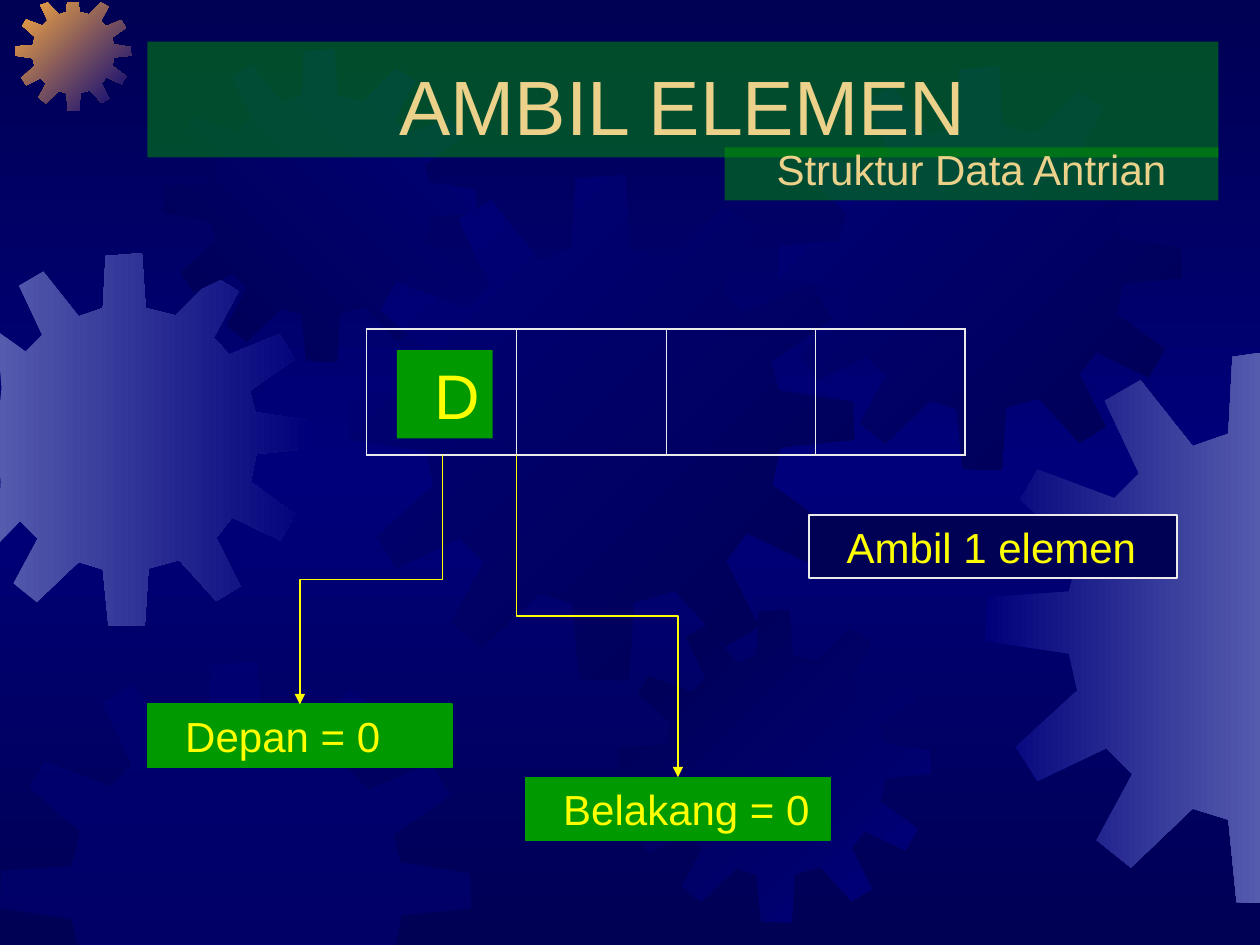
import copy

import lxml.etree
import pptx
import pptx.dml.color
import pptx.enum.dml
import pptx.enum.shapes
import pptx.enum.text
import pptx.oxml.ns
import pptx.util

Inches = pptx.util.Inches
qn = pptx.oxml.ns.qn
Anchor = pptx.enum.text.MSO_ANCHOR
Align = pptx.enum.text.PP_ALIGN

NIGHT, NAVY, MIST, AMBER = "000054", "00007A", "555BAD", "FCAB40"
GREEN, SAND, YELLOW, PALE = "009900", "EBD189", "FFFF00", "EAEAEA"

# Outline of a twelve-toothed gear, in a square of GEAR_SPAN
GEAR_SPAN = 4.01
GEAR = [
    (2.55, .67), (2.23, .59), (2.19, 0), (1.8, .03), (1.77, .59), (1.51, .68),
    (1.13, .2), (.87, .35), (1.12, .88), (.94, 1.06), (.38, .85), (.25, 1.07),
    (.68, 1.45), (.61, 1.74), (.01, 1.78), (0, 2.1), (.61, 2.19), (.67, 2.46),
    (.22, 2.87), (.38, 3.12), (.88, 2.88), (1.07, 3.07), (.81, 3.55), (1.06, 3.75),
    (1.51, 3.32), (1.77, 3.4), (1.83, 4), (2.22, 4.01), (2.26, 3.39), (2.59, 3.3),
    (2.99, 3.74), (3.25, 3.58), (2.99, 3.06), (3.16, 2.84), (3.68, 3.09), (3.84, 2.81),
    (3.36, 2.46), (3.42, 2.16), (4.01, 2.1), (4, 1.8), (3.41, 1.71), (3.35, 1.48),
    (3.83, 1.14), (3.67, .87), (3.13, 1.09), (2.96, .91), (3.23, .41), (2.97, .25),
]
# left, top, size, colours, angle
GEARS = [
    (-.49, 2.01, 2.96, (MIST, NAVY), 0),
    (.12, -.04, .92, (AMBER, NAVY), 45),
    (1.3, .39, 2.48, (NIGHT, NAVY), 315),
    (2.77, 1.39, 4.01, (NAVY, NIGHT), 45),
    (0, 5.25, 3.74, (NAVY,), 0),
    (4.91, 4.84, 2.48, (NIGHT, NAVY), 45),
    (6.18, .53, 3.2, (NAVY, NIGHT), 45),
    (7.82, 2.8, 4.37, (NAVY, MIST), 0),
]


def colour(value):
    return pptx.dml.color.RGBColor.from_string(value)


def paint(shape, fill, line=None, opacity=None):
    shape.shadow.inherit = False
    shape.fill.solid()
    shape.fill.fore_color.rgb = colour(fill)
    if opacity:
        tint = shape._element.spPr.find(".//" + qn("a:srgbClr"))
        lxml.etree.SubElement(tint, qn("a:alpha"), val=str(opacity * 1000))
    if line:
        shape.line.color.rgb = colour(line)
        shape.line.width = pptx.util.Pt(1)
    else:
        shape.line.fill.background()


def paint_gradient(fill, element, colours, angle):
    fill.gradient()
    fill.gradient_angle = (360 - angle) % 360
    stop_list = element.find(".//" + qn("a:gsLst"))
    while len(stop_list) < len(colours):
        stop_list.append(copy.deepcopy(stop_list[0]))
    for index, (stop, value) in enumerate(zip(fill.gradient_stops, colours)):
        stop.color.rgb = colour(value)
        stop.position = index / (len(colours) - 1)


def write(shape, text, size, ink, **frame_format):
    frame = shape.text_frame
    settings = {"word_wrap": True, "auto_size": pptx.enum.text.MSO_AUTO_SIZE.NONE,
                "vertical_anchor": Anchor.MIDDLE}
    align = frame_format.pop("align", Align.LEFT)
    for name, value in {**settings, **frame_format}.items():
        setattr(frame, name, value)
    para = frame.paragraphs[0]
    para.alignment = align
    span = para.add_run()
    span.text = text
    for name, value in {"name": "Arial", "size": pptx.util.Pt(size), "bold": False}.items():
        setattr(span.font, name, value)
    span.font.color.rgb = colour(ink)


def add_box(page, box):
    return page.shapes.add_shape(pptx.enum.shapes.MSO_SHAPE.RECTANGLE, *map(Inches, box))


def add_gear(page, left, top, size, colours, angle):
    scale = size / GEAR_SPAN
    # Teeth are trimmed at the slide edges
    points = [(Inches(min(max(left + x * scale, -.01), 10.01)),
               Inches(min(max(top + y * scale, .02), 7.54))) for x, y in GEAR]
    builder = page.shapes.build_freeform(*points[0])
    builder.add_line_segments(points[1:], close=True)
    gear = builder.convert_to_shape()
    paint(gear, colours[0], opacity=50 if len(colours) == 1 else None)
    if len(colours) > 1:
        paint_gradient(gear.fill, gear._element.spPr, colours, angle)


def add_heading(page, box, title_text, subtitle_text):
    left, top, width, height = box
    title = page.shapes.title
    page.shapes._spTree.append(title._element)  # in front of the gears
    for name, value in zip(("left", "top", "width", "height"), box):
        setattr(title, name, Inches(value))
    subtitle = add_box(page, (left + width - 3.92, top + height - .08, 3.92, .42))
    for shape, text, size in ((title, title_text, 44), (subtitle, subtitle_text, 24)):
        if shape is subtitle:
            paint(shape, GREEN, opacity=50)
        else:
            shape.fill.solid()
            shape.fill.fore_color.rgb = colour(GREEN)
            tint = shape._element.spPr.find(".//" + qn("a:srgbClr"))
            lxml.etree.SubElement(tint, qn("a:alpha"), val="50000")
        write(shape, text, size, SAND, vertical_anchor=Anchor.BOTTOM, align=Align.CENTER)


def add_label(page, box, text, fill=GREEN, line=GREEN):
    label = add_box(page, box)
    paint(label, fill, line)
    write(label, text, 24, YELLOW, margin_left=Inches(.3))


def add_queue(page, box, columns):
    left, top, width, height = box
    # Element in the first cell
    element = add_box(page, (left + .24, top + .17, .76, .7))
    paint(element, GREEN)
    write(element, "D", 36, YELLOW, word_wrap=False, margin_left=Inches(.3), align=Align.CENTER)
    # Cells, with a heavier outer border
    table = page.shapes.add_table(1, columns, *map(Inches, box)).table
    table.first_row = table.horz_banding = False
    for index in range(columns):
        table.columns[index].width = Inches(width / columns)
        cell = table.cell(0, index)
        cell_format = cell._tc.get_or_add_tcPr()
        heavy = {"lnL": index == 0, "lnR": index == columns - 1, "lnT": True, "lnB": True}
        for side, is_outer in heavy.items():
            border = lxml.etree.SubElement(cell_format, qn("a:" + side),
                                           w=str(pptx.util.Pt(1.08 if is_outer else .45)))
            solid = lxml.etree.SubElement(border, qn("a:solidFill"))
            lxml.etree.SubElement(solid, qn("a:srgbClr"), val=PALE)
        cell.fill.background()


def add_pointer(page, start, end):
    """Elbow arrow that leaves downwards and arrives downwards."""
    (x1, y1), (x2, y2) = start, end
    middle_x, middle_y = (x1 + x2) / 2, (y1 + y2) / 2
    side = 1 if x2 > x1 else -1
    reach, rise = side * (y2 - y1) / 2, abs(x2 - x1) / 2
    arrow = page.shapes.add_connector(
        pptx.enum.shapes.MSO_CONNECTOR.ELBOW,
        Inches(middle_x + reach), Inches(middle_y - rise),
        Inches(middle_x - reach), Inches(middle_y + rise))
    shape_format = arrow._element.spPr
    shape_format.find(qn("a:xfrm")).set("rot", str((270 if side > 0 else 90) * 60000))
    arrow.line.color.rgb = colour(YELLOW)
    arrow.line.width = pptx.util.Pt(.75)
    lxml.etree.SubElement(shape_format.find(qn("a:ln")), qn("a:tailEnd"), type="triangle")
    lxml.etree.SubElement(shape_format, qn("a:effectLst"))


def main():
    deck = pptx.Presentation()
    deck.slide_width, deck.slide_height = Inches(10), Inches(7.5)
    page = deck.slides.add_slide(deck.slide_layouts[5])

    # Backdrop
    paint_gradient(page.background.fill, page._element, (NIGHT, NAVY, NIGHT), 90)
    for gear in GEARS:
        add_gear(page, *gear)

    # Heading and queue
    add_heading(page, (1.17, .33, 8.5, .92), "AMBIL ELEMEN", "Struktur Data Antrian")
    add_label(page, (6.42, 4.09, 2.92, .5), "Ambil 1 elemen", NIGHT, PALE)
    add_queue(page, (2.91, 2.61, 4.75, 1), 4)

    # Front and rear markers
    for text, left, top, start_x in (("Depan = 0", 1.17, 5.59, 3.51),
                                     ("Belakang = 0", 4.17, 6.17, 4.1)):
        add_label(page, (left, top, 2.42, .5), text)
        add_pointer(page, (start_x, 3.61), (left + 1.21, top))

    deck.save("out.pptx")


if __name__ == "__main__":
    main()
